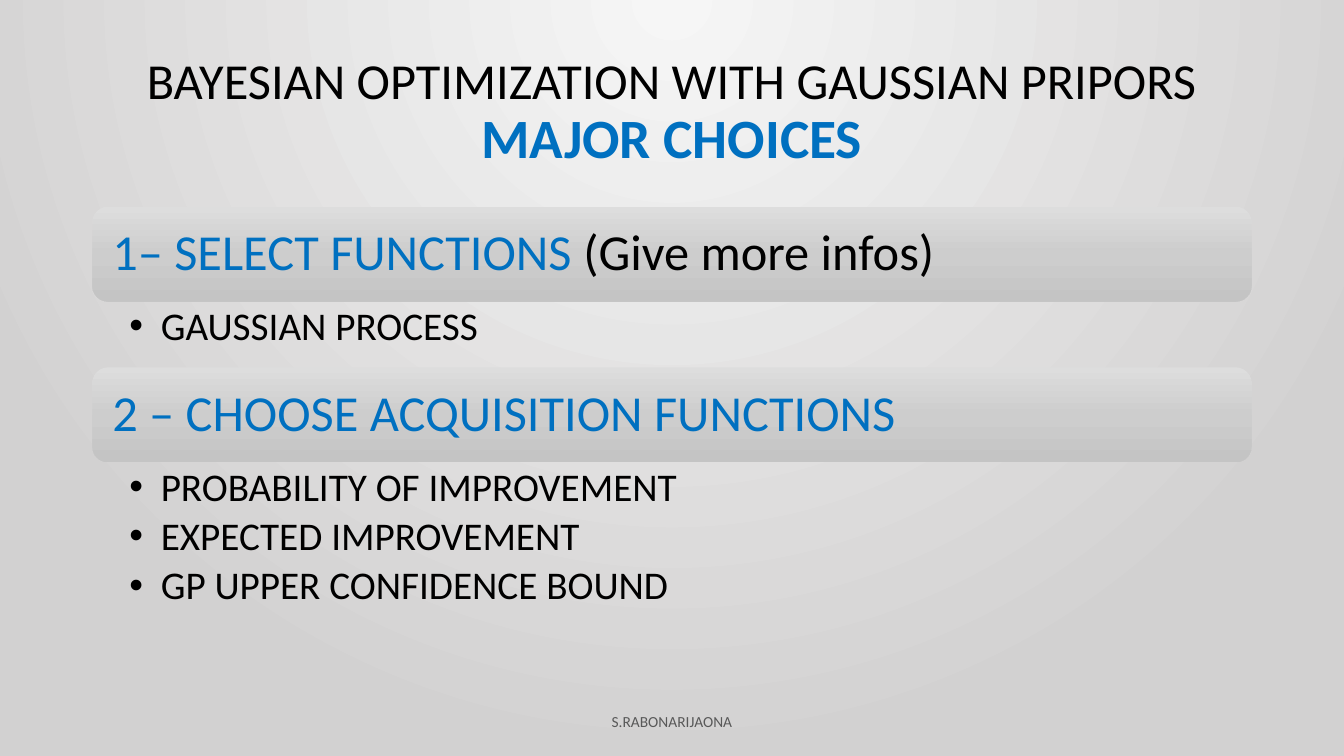
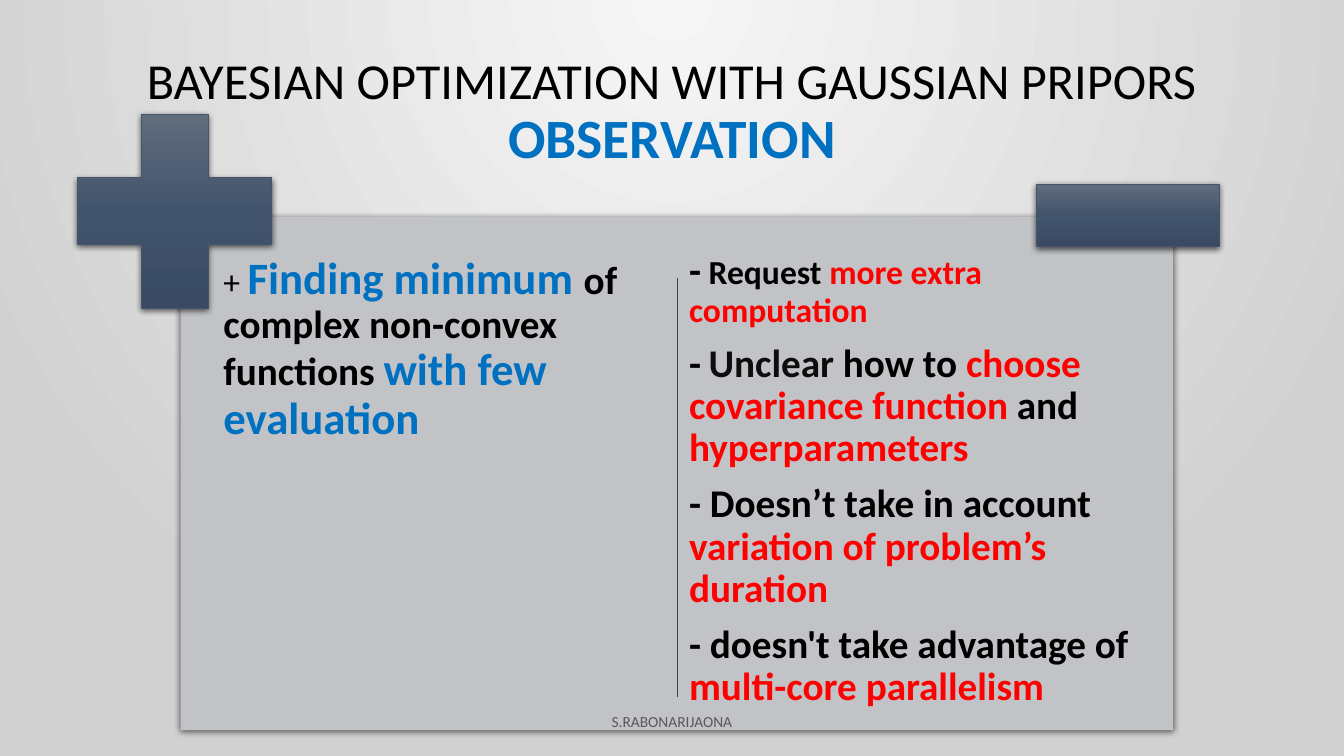
from lxml import etree
from pptx import Presentation
from pptx.dml.color import RGBColor
from pptx.enum.shapes import MSO_CONNECTOR, MSO_SHAPE
from pptx.enum.text import MSO_ANCHOR, PP_ALIGN
from pptx.oxml import parse_xml
from pptx.oxml.ns import nsdecls, qn
from pptx.util import Pt

MID, TOP = MSO_ANCHOR.MIDDLE, MSO_ANCHOR.TOP
LEFT, MIDDLE = PP_ALIGN.LEFT, PP_ALIGN.CENTER
ROUND, RECT, PLUS = MSO_SHAPE.ROUNDED_RECTANGLE, MSO_SHAPE.RECTANGLE, MSO_SHAPE.CROSS
STRAIGHT = MSO_CONNECTOR.STRAIGHT

FONT = "Calibri"
HEX = {"black": "000000", "ink": "0D0D0D", "blue": "0070C0", "red": "FF0000",
       "gray": "595959", "panel": "C1C3C7", "edge": "44546A", "rule": "364355"}
BACK = ["F6F6F6", "D2D1D1"]
BAND = ["DDDDDD", "CDCDCD", "C4C4C4"]
SIGN = ["616C7D", "42546C", "394A62"]
DOWN = '<a:lin ang="5400000" scaled="0"/>'
GLOW = '<a:path path="circle"><a:fillToRect l="43000" r="43000" b="100000"/></a:path>'


def paint(owner, fill, tones, way):
    """Fill with evenly spaced gradient stops."""
    fill.gradient()
    old = owner._element.find(".//" + qn("a:gradFill"))
    step = 100000 // (len(tones) - 1)
    stops = "".join(f'<a:gs pos="{i * step}"><a:srgbClr val="{tone}"/></a:gs>'
                    for i, tone in enumerate(tones))
    old.getparent().replace(old, parse_xml(
        f'<a:gradFill {nsdecls("a")} rotWithShape="1"><a:gsLst>{stops}</a:gsLst>{way}</a:gradFill>'))


def write(shape, paras, pad=(7.2, 3.6, 7.2, 3.6), anchor=TOP, align=LEFT,
          after=0, lead=0.9, dots=False):
    """Each paragraph is a list of runs: text, size, colour, bold."""
    frame = shape.text_frame
    frame.word_wrap = True
    frame.vertical_anchor = anchor
    frame.margin_left, frame.margin_top, frame.margin_right, frame.margin_bottom = map(Pt, pad)
    for i, runs in enumerate(paras):
        para = frame.add_paragraph() if i else frame.paragraphs[0]
        para.alignment, para.line_spacing, para.space_after = align, lead, Pt(after)
        if dots:
            props = para._p.get_or_add_pPr()
            props.set("marL", str(Pt(22.5)))
            props.set("indent", str(Pt(-22.5)))
            etree.SubElement(props, qn("a:buFont")).set("typeface", "Arial")
            etree.SubElement(props, qn("a:buChar")).set("char", "•")
        for text, size, tone, bold in runs:
            if text == "\n":
                para.add_line_break()
                continue
            run = para.add_run()
            run.text = text
            run.font.name, run.font.size, run.font.bold = FONT, Pt(size), bold
            run.font.color.rgb = RGBColor.from_string(HEX[tone])


deck = Presentation()
deck.slide_width, deck.slide_height = Pt(960), Pt(540)

# Shared background
master = deck.slide_master
paint(master, master.background.fill, BACK, GLOW)

# Titles
pages = []
for topic in ("MAJOR CHOICES", "OBSERVATION"):
    page = deck.slides.add_slide(deck.slide_layouts[6])
    title = page.shapes.add_textbox(Pt(66), Pt(29), Pt(828), Pt(104))
    write(title, [[("BAYESIAN OPTIMIZATION WITH GAUSSIAN PRIPORS", 36, "black", False),
                   ("\n", 36, "black", False),
                   (topic, 39.6, "blue", True)]], anchor=MID, align=MIDDLE)
    pages.append(page)
choices, views = pages

# Slide 1: bands, each with a bullet list below
steps = [
    ([("1– SELECT FUNCTIONS ", 36, "blue", False), ("(Give more infos)", 36, "black", False)],
     ["GAUSSIAN PROCESS"], 47),
    ([("2 – CHOOSE ACQUISITION FUNCTIONS", 36, "blue", False)],
     ["PROBABILITY OF IMPROVEMENT", "EXPECTED IMPROVEMENT", "GP UPPER CONFIDENCE BOUND"], 153),
]
top, tall = 147.6, 67.8
for head, items, room in steps:
    band = choices.shapes.add_shape(ROUND, Pt(66), Pt(top), Pt(828), Pt(tall))
    band.shadow.inherit = False
    band.line.fill.background()
    paint(band, band.fill, BAND, DOWN)
    write(band, [head], pad=(11, 3.6, 11, 3.6), anchor=MID)
    top += tall
    box = choices.shapes.add_textbox(Pt(66), Pt(top), Pt(828), Pt(room))
    write(box, [[(item, 28, "black", False)] for item in items],
          pad=(26.4, 3.6, 20, 3.6), after=5, dots=True)
    top += room

# Slide 2: panel
panel = views.shapes.add_shape(RECT, Pt(129), Pt(155), Pt(709), Pt(366.5))
panel.fill.solid()
panel.fill.fore_color.rgb = RGBColor.from_string(HEX["panel"])
panel.line.fill.background()

# Pros and cons
pros = [[("+ ", 24, "black", False), ("Finding minimum ", 32, "blue", True),
         ("of complex non-convex functions ", 28, "black", True),
         ("with few evaluation", 32, "blue", True)]]
cons = [
    [("-", 28, "black", True), (" ", 24, "black", False), ("Request ", 24, "black", True),
     ("more extra computation", 24, "red", True)],
    [("-", 28, "black", True), (" ", 24, "black", False), ("Unclear", 28, "ink", True),
     (" how to ", 28, "black", True), ("choose covariance function", 28, "red", True),
     (" and ", 28, "black", True), ("hyperparameters", 28, "red", True)],
    [("- Doesn’t take in account ", 28, "black", True),
     ("variation of problem’s duration", 28, "red", True)],
    [("- doesn't take advantage of ", 28, "black", True),
     ("multi-core parallelism", 28, "red", True)],
]
for left, high, wide, deep, pad, paras in ((156, 179.5, 329, 314, 3.6, pros),
                                           (488, 175, 330.5, 345, 4.2, cons)):
    box = views.shapes.add_textbox(Pt(left), Pt(high), Pt(wide), Pt(deep))
    write(box, paras, pad=(pad,) * 4, after=9.8)

# Plus and minus signs
plus = views.shapes.add_shape(PLUS, Pt(55.5), Pt(81.5), Pt(138.5), Pt(138.5))
plus.adjustments[0] = 0.328
minus = views.shapes.add_shape(RECT, Pt(740.5), Pt(131.5), Pt(130.5), Pt(44.5))
for sign in (plus, minus):
    paint(sign, sign.fill, SIGN, DOWN)
    sign.line.color.rgb = RGBColor.from_string(HEX["edge"])
    sign.line.width = Pt(0.5)

# Soft shadows
for shape in (panel, plus, minus):
    shape.shadow.inherit = False
    shape._element.spPr.find(qn("a:effectLst")).append(parse_xml(
        f'<a:outerShdw {nsdecls("a")} blurRad="{Pt(4.5)}" dist="{Pt(1.5)}" dir="5400000" '
        'algn="ctr" rotWithShape="0"><a:srgbClr val="000000"><a:alpha val="63000"/>'
        '</a:srgbClr></a:outerShdw>'))

# Divider
rule = views.shapes.add_connector(STRAIGHT, Pt(484), Pt(198.5), Pt(484), Pt(498))
rule.line.color.rgb = RGBColor.from_string(HEX["rule"])
rule.line.width = Pt(1)
etree.SubElement(rule._element.spPr, qn("a:effectLst"))

# Footers
for page in pages:
    foot = page.shapes.add_textbox(Pt(318), Pt(500.5), Pt(324), Pt(29))
    write(foot, [[("S.RABONARIJAONA", 11, "gray", False)]], anchor=MID, align=MIDDLE, lead=1.0)

deck.save("out.pptx")
